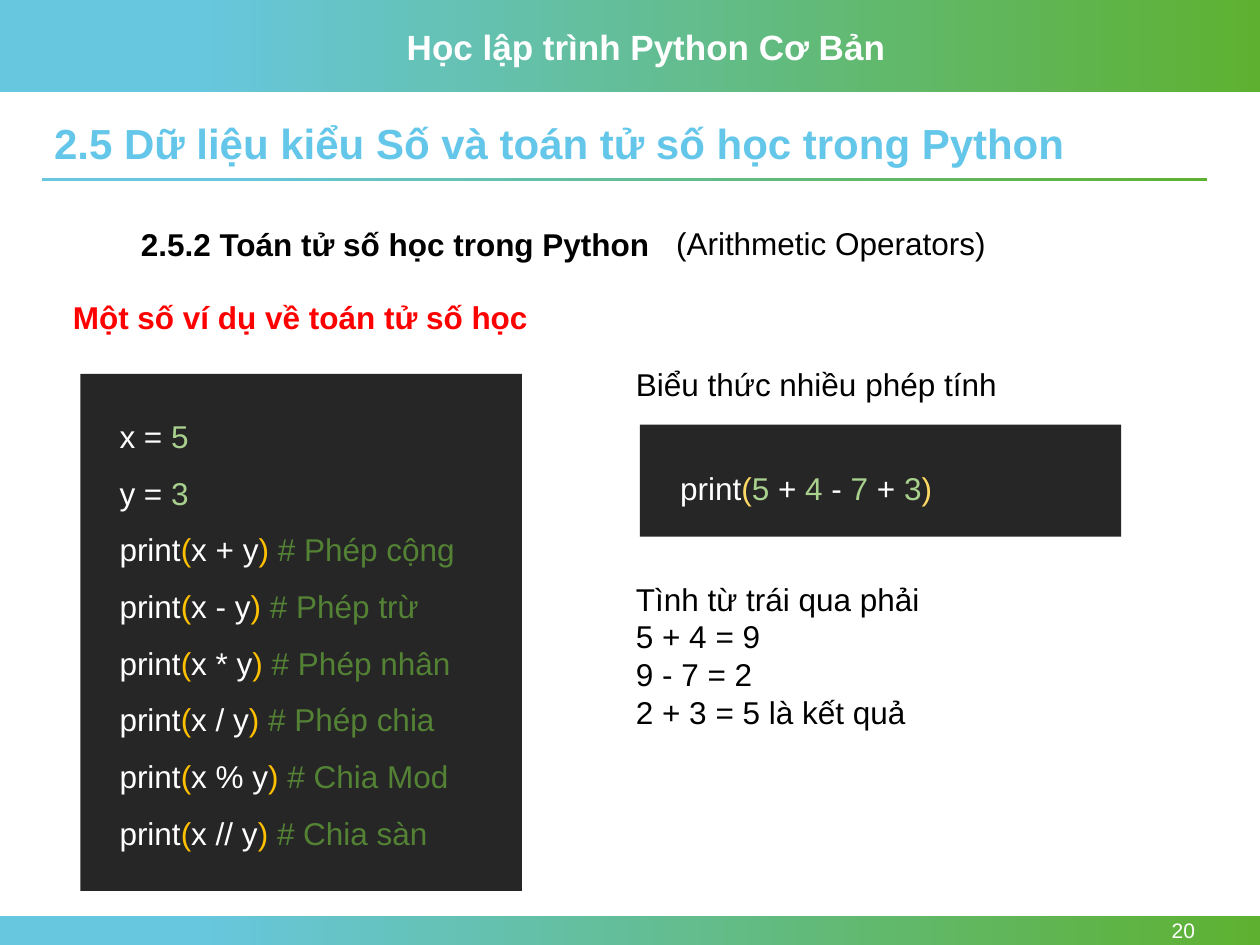
from pptx import Presentation
from pptx.dml.color import RGBColor as RGB
from pptx.enum.shapes import MSO_SHAPE as SHAPE
from pptx.enum.text import MSO_ANCHOR as ANCHOR, PP_ALIGN as ALIGN
from pptx.util import Cm, Pt

BLUE = RGB(0x67, 0xC7, 0xDF)
GREEN = RGB(0x5E, 0xB1, 0x30)
TITLE = RGB(0x64, 0xC7, 0xE9)
WHITE = RGB(0xFF, 0xFF, 0xFF)
BLACK = RGB(0x00, 0x00, 0x00)
RED = RGB(0xFF, 0x00, 0x00)
DARK = RGB(0x26, 0x26, 0x26)
LIME = RGB(0xA9, 0xD1, 0x8E)
AMBER = RGB(0xFF, 0xC0, 0x00)
GOLD = RGB(0xFF, 0xD9, 0x66)
MOSS = RGB(0x54, 0x82, 0x35)

deck = Presentation()
deck.slide_width, deck.slide_height = Cm(25.4), Cm(19.05)
slide = deck.slides.add_slide(deck.slide_layouts[6])


def block(x, y, w, h, color=None):
    """Draw a rectangle, in the blue to green blend if no color is given."""
    rect = slide.shapes.add_shape(SHAPE.RECTANGLE, Cm(x), Cm(y), Cm(w), Cm(h))
    rect.shadow.inherit = False
    rect.line.fill.background()
    if color is not None:
        rect.fill.solid()
        rect.fill.fore_color.rgb = color
        return
    rect.fill.gradient()
    rect.fill.gradient_angle = 0
    for stop, spot, tint in zip(rect.fill.gradient_stops, (0.15, 1), (BLUE, GREEN)):
        stop.position = spot
        stop.color.rgb = tint


def write(lines, x, y, w, h, size=18, color=BLACK, bold=False, space=1.0,
          align=ALIGN.LEFT, anchor=ANCHOR.TOP, wrap=True):
    """Add a text box; a line is a string or a list of (text, color) runs."""
    frame = slide.shapes.add_textbox(Cm(x), Cm(y), Cm(w), Cm(h)).text_frame
    frame.word_wrap = wrap
    frame.vertical_anchor = anchor
    for i, line in enumerate(lines):
        para = frame.add_paragraph() if i else frame.paragraphs[0]
        para.alignment = align
        para.line_spacing = space
        for text, tint in [(line, color)] if isinstance(line, str) else line:
            run = para.add_run()
            run.text = text
            font = run.font
            font.name, font.size, font.bold = "Arial", Pt(size), bold
            font.color.rgb = tint


# Header, footer and title
block(0, 0, 25.4, 1.85)
block(0, 18.47, 25.4, 0.58)
write(["Học lập trình Python Cơ Bản"], 7.95, 0.38, 10.16, 1.11,
      size=20, color=WHITE, bold=True)
block(0.84, 3.58, 23.5, 0.07)
write(["20"], 22, 18.47, 2.34, 0.58, size=12, color=WHITE,
      align=ALIGN.RIGHT, anchor=ANCHOR.MIDDLE)
write(["2.5 Dữ liệu kiểu Số và toán tử số học trong Python"],
      0.84, 2.36, 23.5, 1.17, size=24, color=TITLE, bold=True, space=0.9)

# Headings
write(["2.5.2 Toán tử số học trong Python"], 2.59, 4.42, 18.9, 1.02, bold=True)
write(["(Arithmetic Operators)"], 13.38, 4.39, 6.83, 1.02, wrap=False)
write(["Một số ví dụ về toán tử số học"], 1.22, 5.89, 19.94, 1.02,
      color=RED, bold=True)

# Examples, one operator a line
code = [[(f"{name} = ", WHITE), (value, LIME)] for name, value in ("x5", "y3")]
for sign, note in [("+", "Phép cộng"), ("-", "Phép trừ"), ("*", "Phép nhân"),
                   ("/", "Phép chia"), ("%", "Chia Mod"), ("//", "Chia sàn")]:
    code.append([("print", WHITE), ("(", AMBER), (f"x {sign} y", WHITE),
                 (") ", AMBER), (f"# {note}", MOSS)])
block(1.62, 7.54, 8.9, 10.42, DARK)
write(code, 2.16, 7.9, 7.87, 9.7, space=1.5)

# Expression with several operators
tints = {"(": GOLD, ")": GOLD, "print": WHITE}
parts = ["print", "(", "5", " + ", "4", " - ", "7", " + ", "3", ")"]
call = [(part, LIME if part.isdigit() else tints.get(part, WHITE)) for part in parts]
block(12.9, 8.56, 9.7, 2.26, DARK)
write([call], 13.46, 8.94, 7.87, 1.3, space=1.5)
write(["Biểu thức nhiều phép tính"], 12.57, 7.24, 9.07, 1.02)
write(["Tình từ trái qua phải", "5 + 4 = 9", "9 - 7 = 2", "2 + 3 = 5 là kết quả"],
      12.57, 11.56, 9.07, 3.33)

deck.save("out.pptx")
